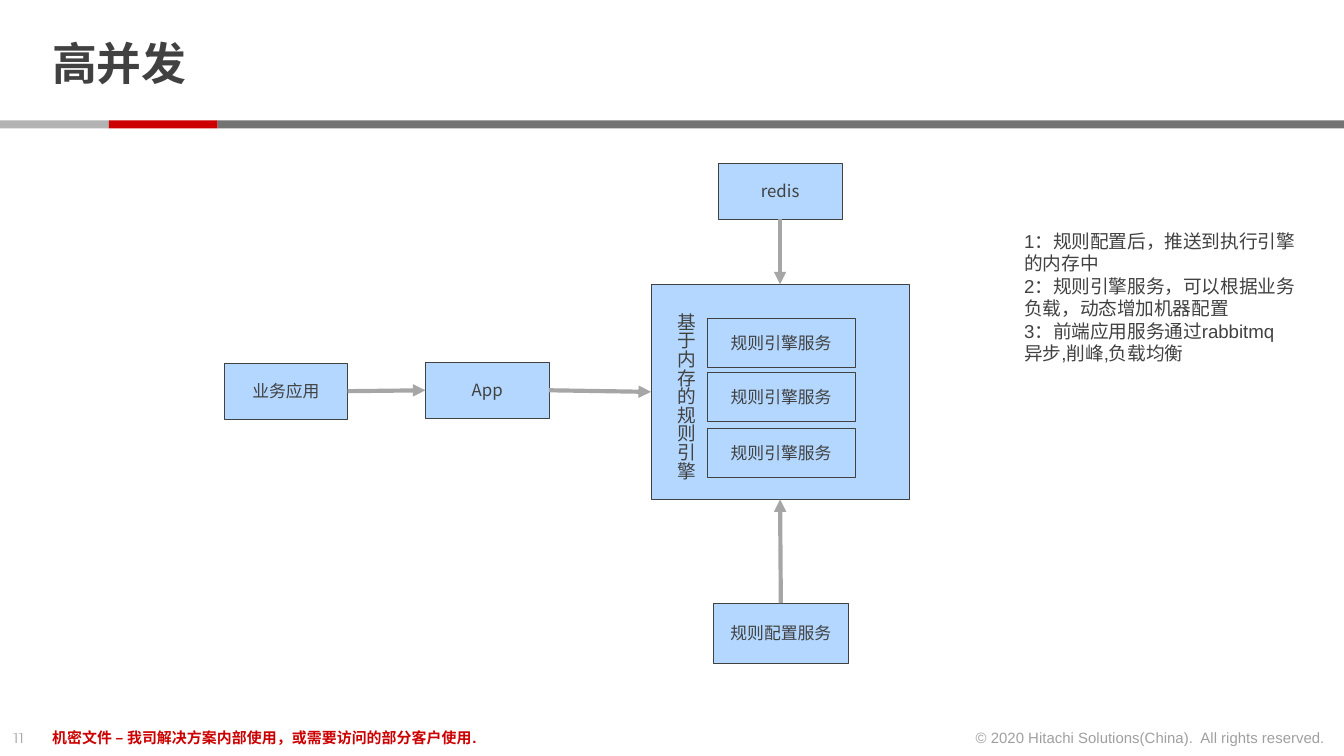
from lxml.etree import SubElement
from pptx import Presentation
from pptx.dml.color import RGBColor
from pptx.enum.shapes import MSO_CONNECTOR, MSO_SHAPE
from pptx.enum.text import MSO_ANCHOR, PP_ALIGN
from pptx.oxml.ns import qn
from pptx.util import Inches, Pt

WIDTH = Inches(10)
HEIGHT = WIDTH * 9 // 16
UNIT = WIDTH / 100  # square grid, 100 columns wide

COLORS = {
    "text": "414141",
    "red": "CC0000",
    "light": "B3B3B3",
    "dark": "737373",
    "box": "B3D7FF",
    "arrow": "A6A6A6",
    "white": "FFFFFF",
}
CJK = "Noto Sans CJK SC"
TOP, LEFT, BOTTOM, RIGHT = range(4)  # connection sites of a rectangle

NOTES = [
    "1：规则配置后，推送到执行引擎",
    "的内存中",
    "2：规则引擎服务，可以根据业务",
    "负载，动态增加机器配置",
    "3：前端应用服务通过rabbitmq",
    "异步,削峰,负载均衡",
]


def rgb(name):
    return RGBColor.from_string(COLORS[name])


def grid(*cells):
    return [round(c * UNIT) for c in cells]


def write(sp, lines, size=10, font="Arial", color="text", bold=False, alpha=None,
          align=PP_ALIGN.LEFT, anchor=MSO_ANCHOR.TOP, wrap=True, spacing=None):
    """Fill a shape with one paragraph per line, all in one format."""
    tf = sp.text_frame
    tf.word_wrap = wrap
    tf.vertical_anchor = anchor
    for i, line in enumerate(lines):
        p = tf.paragraphs[0] if i == 0 else tf.add_paragraph()
        p.alignment = align
        if spacing:
            p.line_spacing = spacing
        r = p.add_run()
        r.text = line
        r.font.size, r.font.name, r.font.bold = Pt(size), font, bold
        r.font.color.rgb = rgb(color)
        if alpha:
            clr = r._r.rPr.find(qn("a:solidFill"))[0]
            SubElement(clr, qn("a:alpha"), val=str(alpha * 1000))
    return tf


def add_text(s, cells, lines, **fmt):
    return write(s.shapes.add_textbox(*grid(*cells)), lines, **fmt)


def add_rect(s, cells, fill, line=None):
    sp = s.shapes.add_shape(MSO_SHAPE.RECTANGLE, *grid(*cells))
    sp.shadow.inherit = False
    sp.fill.solid()
    sp.fill.fore_color.rgb = rgb(fill)
    if line:
        sp.line.color.rgb = rgb(line)
        sp.line.width = Pt(0.25)
    else:
        sp.line.fill.background()
    return sp


def add_node(s, cells, label):
    sp = add_rect(s, cells, "box", "text")
    write(sp, [label], size=9, font=CJK, align=PP_ALIGN.CENTER,
          anchor=MSO_ANCHOR.MIDDLE)
    return sp


def add_arrow(s, start, start_site, end, end_site):
    sp = s.shapes.add_connector(MSO_CONNECTOR.STRAIGHT, 0, 0, 0, 0)
    sp.begin_connect(start, start_site)
    sp.end_connect(end, end_site)
    sp.line.color.rgb = rgb("arrow")
    sp.line.width = Pt(2.25)
    SubElement(sp.line._get_or_add_ln(), qn("a:tailEnd"), type="triangle")
    SubElement(sp._element.spPr, qn("a:effectLst"))


def add_frame(s):
    # Title and the three-part rule below it
    tf = add_text(s, (2.9, 1.3, 77.1, 7.3), ["高并发"], size=24, font="Montserrat",
                  bold=True, anchor=MSO_ANCHOR.MIDDLE, spacing=0.85)
    tf.margin_top = tf.margin_bottom = 0
    for col, width, fill in ((0, 8.1, "light"), (8.1, 8.1, "red"), (16.2, 83.8, "dark")):
        add_rect(s, (col, 8.97, width, 0.6), fill)

    # Footer
    add_text(s, (0, 53.75, 3.4, 2.4), ["11"], size=8, font="Montserrat", alpha=50,
             wrap=False)
    add_text(s, (2.9, 53.74, 67.4, 2.4),
             ["机密文件 – 我司解决方案内部使用，或需要访问的部分客户使用."],
             size=8, color="red", bold=True)
    add_text(s, (71.2, 53.74, 28.4, 2.4),
             ["© 2020 Hitachi Solutions(China).\u00a0 All rights reserved."],
             size=8, alpha=50, align=PP_ALIGN.RIGHT, wrap=False)


def add_diagram(s):
    # Rule engine with its stack of services
    engine = add_rect(s, (48.44, 21.16, 19.2, 16), "box", "text")
    for row in (23.7, 27.7, 31.87):
        add_node(s, (52.62, row, 11, 3.65), "规则引擎服务")
    tf = add_text(s, (48.7, 22.3, 3.7, 13.5), ["基于内存的规则引擎"], wrap=False)
    tf._txBody.bodyPr.set("vert", "eaVert")

    # Surrounding nodes
    redis = add_node(s, (53.44, 12.14, 9.2, 4.18), "redis")
    app = add_node(s, (31.65, 26.95, 9.2, 4.18), "App")
    business = add_node(s, (16.67, 27.02, 9.2, 4.18), "业务应用")
    config = add_node(s, (53.1, 44.88, 10, 4.45), "规则配置服务")

    # Flow
    add_arrow(s, redis, BOTTOM, engine, TOP)
    add_arrow(s, app, RIGHT, engine, LEFT)
    add_arrow(s, business, RIGHT, app, LEFT)
    add_arrow(s, config, TOP, engine, BOTTOM)


def main():
    prs = Presentation()
    prs.slide_width, prs.slide_height = WIDTH, HEIGHT
    s = prs.slides.add_slide(prs.slide_layouts[6])
    add_frame(s)
    add_diagram(s)
    # Explanation beside the diagram
    write(add_rect(s, (75.22, 16.6, 22.2, 11.1), "white"), NOTES)
    prs.save("out.pptx")


if __name__ == "__main__":
    main()
